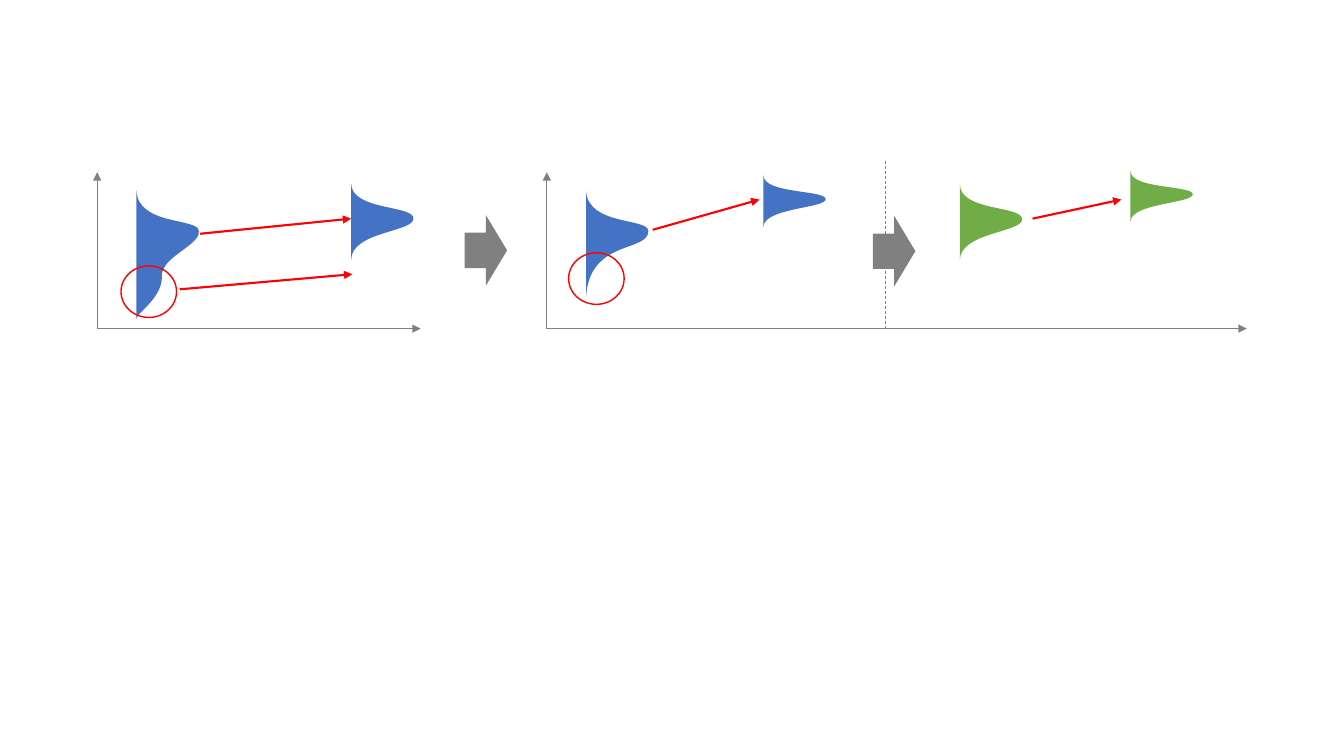
import pptx
import pptx.dml.color
import pptx.enum.dml
import pptx.enum.shapes
import pptx.oxml
import pptx.oxml.ns
import pptx.util

Cm = pptx.util.Cm
RGB = pptx.dml.color.RGBColor
KIND = pptx.enum.shapes.MSO_SHAPE
SPACE = pptx.oxml.ns.nsdecls("a")

BLUE = RGB(0x44, 0x72, 0xC4)
GREEN = RGB(0x70, 0xAD, 0x47)
GRAY = RGB(0x80, 0x80, 0x80)
RED = RGB(0xFF, 0x00, 0x00)

PEAK = 1.57  # width of every curve
RISE = ((0.03, 0.89), (PEAK, 0.69), (PEAK, 1.02))
BULGE = (RISE,
         ((1.63, 1.37), (0.61, 1.68), (0.64, 2.16)),
         ((0.66, 2.69), (0.05, 3.05), (0, 3.23)))
TAIL = (RISE, ((PEAK, 1.57), (0.08, 1.22), (0, 2.69)))


def bell(high):
    """Return the Bezier parts of a plain bell of the given height."""
    return (((0, 0.36 * high), (PEAK, 0.28 * high), (PEAK, 0.46 * high)),
            ((PEAK, 0.64 * high), (0, 0.63 * high), (0, high)))


def add_curve(slide, box, x, y, parts, color):
    """Outline the end points, then bend each segment into its Bezier part."""
    left, top = box[0] + x, box[1] + y
    pen = slide.shapes.build_freeform(Cm(left), Cm(top))
    ends = [part[-1] for part in parts]
    pen.add_line_segments([(Cm(left + dx), Cm(top + dy)) for dx, dy in ends], close=False)
    shape = pen.convert_to_shape()
    shape.shadow.inherit = False
    shape.fill.solid()
    shape.fill.fore_color.rgb = color
    shape.line.fill.background()
    sides = list(shape._element.iter(pptx.oxml.ns.qn("a:lnTo")))
    for side, part in zip(sides, parts):
        points = "".join(f'<a:pt x="{Cm(dx)}" y="{Cm(dy)}"/>' for dx, dy in part)
        bend = pptx.oxml.parse_xml(f"<a:cubicBezTo {SPACE}>{points}</a:cubicBezTo>")
        side.getparent().replace(side, bend)


def add_line(place, box, start, end, color=GRAY, width=0.5, head=True, dash=False):
    left, top = box[:2]
    line = place.shapes.add_connector(
        pptx.enum.shapes.MSO_CONNECTOR.STRAIGHT,
        Cm(left + start[0]), Cm(top + start[1]), Cm(left + end[0]), Cm(top + end[1]))
    line.line.color.rgb = color
    line.line.width = pptx.util.Pt(width)
    if dash:
        line.line.dash_style = pptx.enum.dml.MSO_LINE.DASH
    if head:
        tip = pptx.oxml.parse_xml(f'<a:tailEnd {SPACE} type="triangle"/>')
        line.line._get_or_add_ln().append(tip)
    line._element.spPr.append(pptx.oxml.parse_xml(f"<a:effectLst {SPACE}/>"))


def add_trend(slide, box, start, end):
    add_line(slide, box, start, end, color=RED, width=1.5)


def add_ring(slide, box, x, y):
    ring = slide.shapes.add_shape(
        KIND.OVAL, Cm(box[0] + x), Cm(box[1] + y), Cm(1.4), Cm(1.3))
    ring.shadow.inherit = False
    ring.fill.background()
    ring.line.color.rgb = RED
    ring.line.width = pptx.util.Pt(1)


def add_block(slide, box, x, y):
    block = slide.shapes.add_shape(
        KIND.RIGHT_ARROW, Cm(box[0] + x), Cm(box[1] + y), Cm(1.07), Cm(1.78))
    block.shadow.inherit = False
    block.fill.solid()
    block.fill.fore_color.rgb = GRAY
    block.line.fill.background()


def add_axes(slide, box):
    wide, high = box[2:]
    group = slide.shapes.add_group_shape()
    add_line(group, box, (0, high), (0, 0))
    add_line(group, box, (0, high), (wide, high))


def add_first(slide, box):
    add_curve(slide, box, 0.99, 0.46, BULGE, BLUE)
    add_axes(slide, box)
    add_trend(slide, box, (2.08, 2.95), (6.43, 2.57))
    add_trend(slide, box, (2.59, 1.55), (6.4, 1.17))
    add_ring(slide, box, 0.6, 2.36)
    add_curve(slide, box, 6.4, 0.28, bell(1.93), BLUE)


def add_second(slide, box):
    add_curve(slide, box, 5.46, 0.08, bell(1.3), BLUE)
    add_curve(slide, box, 0.99, 0.46, TAIL, BLUE)
    add_axes(slide, box)
    add_trend(slide, box, (2.67, 1.45), (5.36, 0.69))
    add_ring(slide, box, 0.55, 2.03)
    add_curve(slide, box, 10.41, 0.3, bell(1.92), GREEN)
    add_curve(slide, box, 14.71, -0.03, bell(1.28), GREEN)
    add_trend(slide, box, (12.24, 1.17), (14.48, 0.69))
    add_line(slide, box, (8.53, -0.29), (8.53, box[3]), head=False, dash=True)


def main():
    deck = pptx.Presentation()
    deck.slide_width, deck.slide_height = Cm(33.87), Cm(19.05)
    slide = deck.slides.add_slide(deck.slide_layouts[6])
    first = (2.45, 4.34, 8.15, 3.94)
    second = (13.78, 4.34, 17.64, 3.94)
    add_first(slide, first)
    add_second(slide, second)
    add_block(slide, first, 9.26, 1.08)
    add_block(slide, second, 8.22, 1.1)
    deck.save("out.pptx")


if __name__ == "__main__":
    main()
